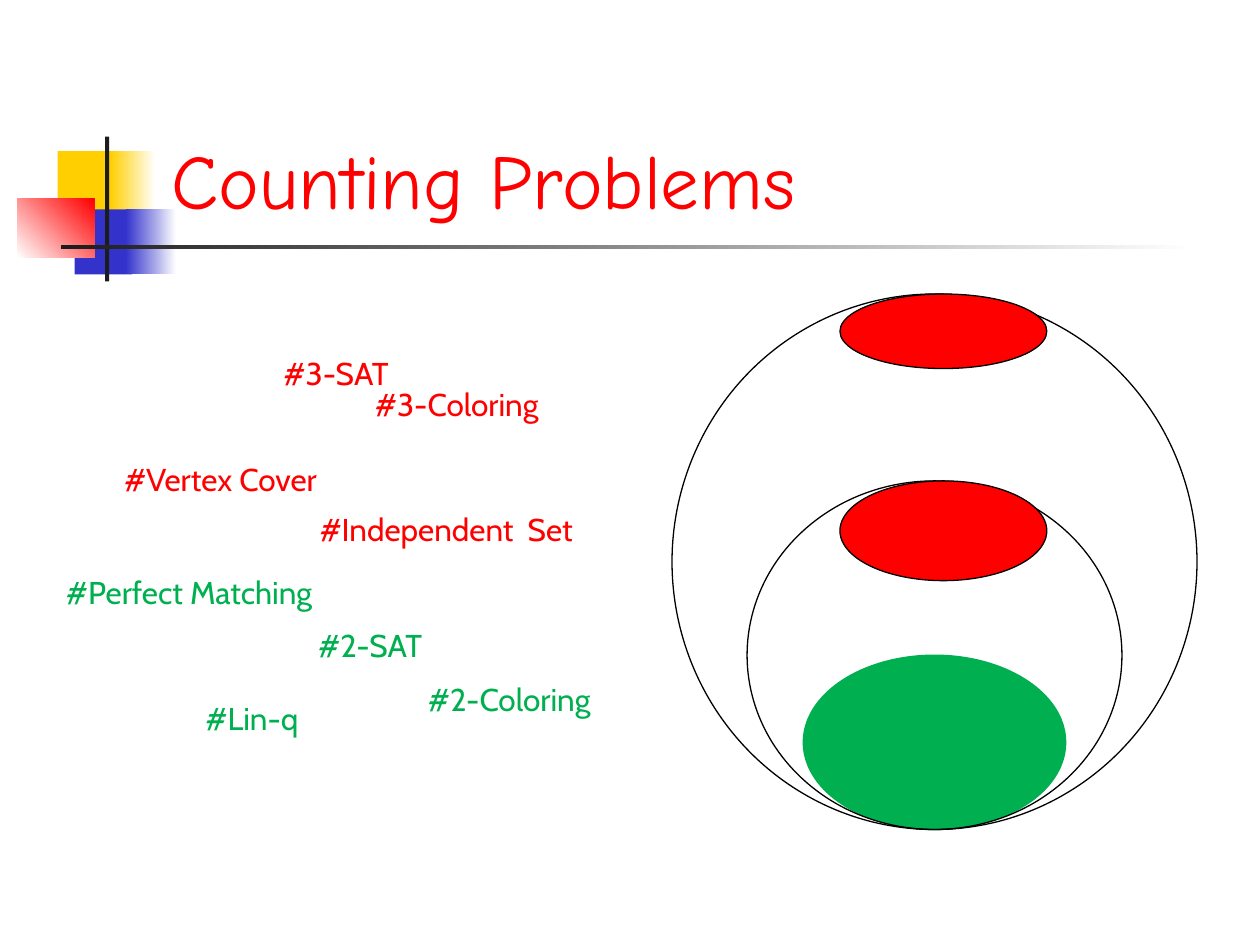
import pptx
import pptx.util
import pptx.dml.color
import pptx.enum.shapes
import pptx.enum.text
from dataclasses import dataclass

COLS, ROWS = 120, 90  # twelve grid steps to the inch


@dataclass(frozen=True)
class Theme:
    red: str = "FF0000"
    green: str = "00B050"
    yellow: str = "FFCF01"
    blue: str = "3333CC"
    dark: str = "1C1C1C"
    black: str = "000000"
    white: str = "FFFFFF"
    title_font: str = "Comic Neue"
    label_font: str = "Cabin"
    title_size: int = 44
    label_size: int = 18
    outline: float = 0.75


def rgb(color):
    return pptx.dml.color.RGBColor.from_string(color)


class SlideBuilder:
    def __init__(self, prs, theme):
        self.prs = prs
        self.theme = theme
        self.slide = prs.slides.add_slide(prs.slide_layouts[5])

    def box(self, col, row, cols, rows):
        """Turn grid steps into left, top, width and height."""
        x, y = self.prs.slide_width / COLS, self.prs.slide_height / ROWS
        return [round(v) for v in (col * x, row * y, cols * x, rows * y)]

    def add_text(self, tf, text, font, size, color, align):
        p = tf.paragraphs[0]
        p.alignment = align
        r = p.add_run()
        r.text = text
        r.font.name = font
        r.font.size = pptx.util.Pt(size)
        r.font.color.rgb = rgb(color)

    def title(self, text, *grid):
        sp = self.slide.shapes.title
        sp.left, sp.top, sp.width, sp.height = self.box(*grid)
        tf = sp.text_frame
        tf.auto_size = pptx.enum.text.MSO_AUTO_SIZE.NONE
        tf.vertical_anchor = pptx.enum.text.MSO_ANCHOR.BOTTOM
        self.add_text(tf, text, self.theme.title_font, self.theme.title_size,
                      self.theme.red, pptx.enum.text.PP_ALIGN.LEFT)

    def label(self, text, color, col, row, cols):
        sp = self.slide.shapes.add_textbox(*self.box(col, row, cols, 4.8))
        tf = sp.text_frame
        tf.word_wrap = True
        tf.auto_size = pptx.enum.text.MSO_AUTO_SIZE.SHAPE_TO_FIT_TEXT
        self.add_text(tf, text, self.theme.label_font, self.theme.label_size,
                      color, pptx.enum.text.PP_ALIGN.CENTER)

    def rect(self, grid, color, fade_to=None, angle=0):
        """Draw a borderless bar, fading to a second colour if one is given."""
        sp = self.slide.shapes.add_shape(
            pptx.enum.shapes.MSO_SHAPE.RECTANGLE, *self.box(*grid))
        sp.shadow.inherit = False
        sp.line.fill.background()
        if fade_to is None:
            sp.fill.solid()
            sp.fill.fore_color.rgb = rgb(color)
            return
        sp.fill.gradient()
        sp.fill.gradient_angle = angle
        for stop, shade in zip(sp.fill.gradient_stops, (color, fade_to)):
            stop.color.rgb = rgb(shade)

    def ellipse(self, grid, line, fill=None):
        sp = self.slide.shapes.add_shape(
            pptx.enum.shapes.MSO_SHAPE.OVAL, *self.box(*grid))
        sp.shadow.inherit = False
        sp.line.color.rgb = rgb(line)
        sp.line.width = pptx.util.Pt(self.theme.outline)
        if fill is None:
            sp.fill.background()
        else:
            sp.fill.solid()
            sp.fill.fore_color.rgb = rgb(fill)


def main():
    prs = pptx.Presentation()
    prs.slide_width = pptx.util.Inches(10)
    prs.slide_height = pptx.util.Inches(7.5)
    t = Theme()
    s = SlideBuilder(prs, t)

    # Corner ornament and title rule
    s.rect((5.5, 14.4, 5.8, 6.2), t.yellow)
    s.rect((10.5, 14.4, 4.3, 6.2), t.yellow, t.white)
    s.rect((7.1, 19.95, 5.5, 6.2), t.blue)
    s.rect((12, 19.95, 4.8, 6.2), t.blue, t.white)
    s.rect((1.65, 18.95, 7.35, 5.55), t.white, t.red, angle=45)
    s.rect((10, 13, 0.4, 13.8), t.dark)
    s.rect((5.8, 23.35, 108, 0.4), t.dark, t.white)

    s.title("Counting Problems", 15.1, 2.8, 102.2, 19.2)

    # Nested classes share a centre line and a lowest point
    centre, bottom = 89, 79
    for cols, rows, line, fill in [
        (25, 16.6, t.green, t.green),
        (35.7, 33.2, t.black, None),
        (50, 51, t.black, None),
    ]:
        s.ellipse((centre - cols / 2, bottom - rows, cols, rows), line, fill)

    # Hardest problems at the top of each class
    for row, rows in [(45.8, 9.5), (28, 7.1)]:
        s.ellipse((80, row, 19.7, rows), t.black, t.red)

    for text, color, col, row, cols in [
        ("#3-SAT", t.red, 24, 33.1, 16),
        ("#2-SAT", t.green, 28, 59, 14.5),
        ("#3-Coloring", t.red, 34, 36.1, 19),
        ("#2-Coloring", t.green, 38, 64.2, 21),
        ("#Vertex Cover", t.red, 9, 43.2, 24),
        ("#Independent  Set", t.red, 28, 48, 29),
        ("#Lin-q", t.green, 12, 66, 24),
        ("#Perfect Matching", t.green, 4, 54, 28),
    ]:
        s.label(text, color, col, row, cols)

    prs.save("out.pptx")


if __name__ == "__main__":
    main()
